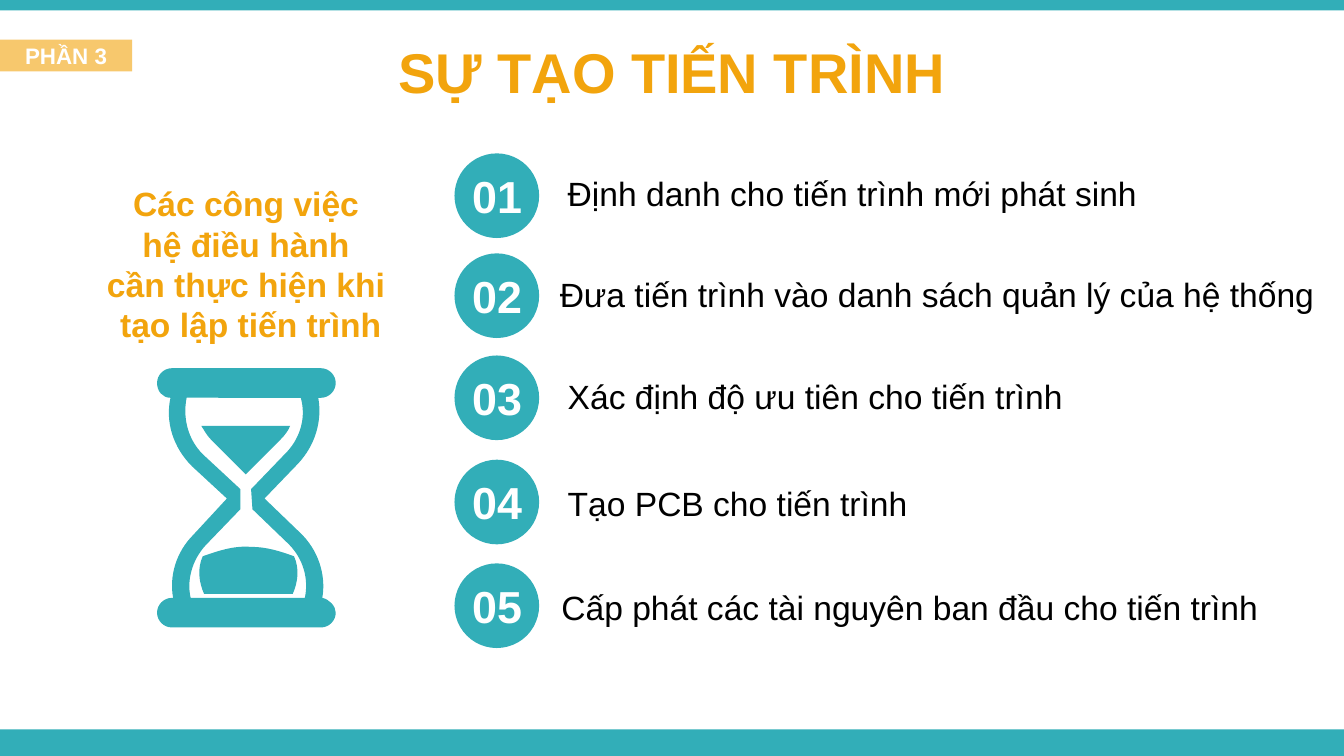
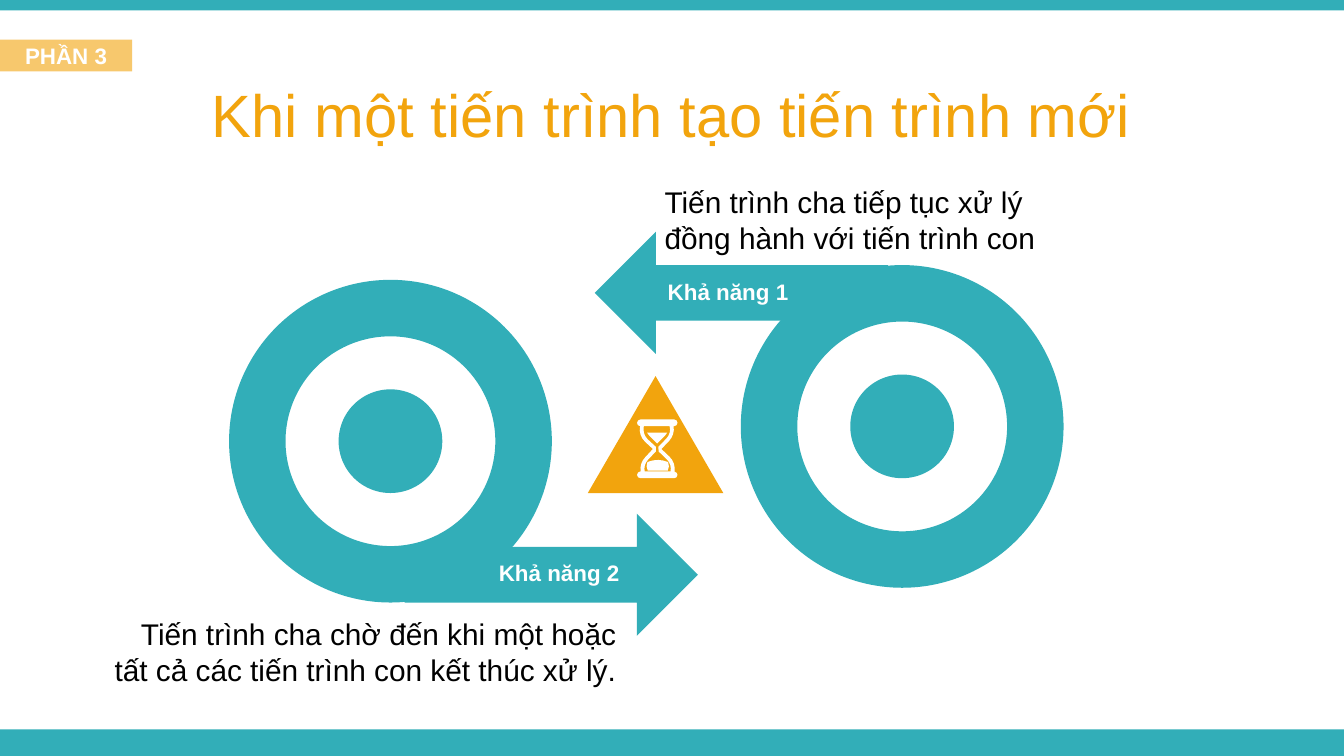
"""Build two slides on how an operating system creates processes."""
import math
from dataclasses import dataclass

import lxml.etree
import pptx
import pptx.dml.color
import pptx.enum.shapes
import pptx.enum.text
import pptx.oxml.ns
import pptx.shapes.autoshape
import pptx.slide
import pptx.util

Cm = pptx.util.Cm
qn = pptx.oxml.ns.qn
Shape = pptx.shapes.autoshape.Shape
Slide = pptx.slide.Slide
SHAPE = pptx.enum.shapes.MSO_SHAPE
ALIGN = pptx.enum.text.PP_ALIGN
ANCHOR = pptx.enum.text.MSO_ANCHOR
AUTO_SIZE = pptx.enum.text.MSO_AUTO_SIZE

TEAL, ORANGE, WHITE, BLACK = "32AEB8", "F2A40D", "FFFFFF", "000000"
WIDTH, HEIGHT = 25.4, 14.29
RING, CORE = 6.1, 1.96
ARROW_WIDTH, ARROW_HEIGHT = 5.54, 2.31
ARROW_DX, ARROW_DY = 3.32, 4.42

HOURGLASS_WIDTH, HOURGLASS_HEIGHT, HOURGLASS_TURN = 133, 193, 313.4
HOURGLASS = (
    ((70, 133), (81, 133, 91, 136, 102, 140), (106, 149, 105, 159, 101, 168),
     (35, 168), (31, 159, 30, 149, 34, 140), (48, 135, 59, 132, 70, 133)),
    ((33, 43), (99, 43), (98, 46, 95, 50, 92, 53), (66, 79), (40, 53),
     (37, 50, 35, 46, 33, 43)),
    ((22, 22), (19, 37, 23, 53, 34, 64), (62, 90), (62, 105), (36, 132),
     (26, 143, 22, 158, 25, 171), (110, 171), (113, 157, 109, 142, 98, 131),
     (71, 105), (70, 90), (97, 62), (107, 51, 111, 36, 107, 22)),
    ((11, 0), (122, 0), (128, 0, 133, 5, 133, 11), (133, 17, 128, 22, 122, 22),
     (120, 22), (123, 39, 118, 57, 105, 71), (80, 97), (106, 122),
     (120, 135, 126, 154, 123, 171), (128, 172, 133, 177, 133, 182),
     (133, 188, 128, 193, 122, 193), (11, 193), (5, 193, 0, 188, 0, 182),
     (0, 176, 5, 171, 11, 171), (12, 171), (9, 155, 14, 137, 27, 124),
     (52, 97), (26, 73), (12, 59, 6, 40, 10, 22), (4, 22, 0, 17, 0, 11),
     (0, 5, 5, 0, 11, 0)),
)


@dataclass(frozen=True)
class Box:
    """Place and size in centimetres."""
    left: float
    top: float
    width: float
    height: float

    def lengths(self) -> tuple:
        """Return the four values as lengths."""
        return Cm(self.left), Cm(self.top), Cm(self.width), Cm(self.height)


@dataclass(frozen=True)
class TextStyle:
    """Look of a block of text."""
    size: int
    color: str = BLACK
    bold: bool = False
    align: ALIGN = ALIGN.LEFT
    anchor: ANCHOR = ANCHOR.TOP


@dataclass(frozen=True)
class Step:
    """One numbered job of the operating system."""
    text: str
    top: float
    text_top: float
    left: float = 10.48
    width: float = 11.43


@dataclass(frozen=True)
class Possibility:
    """One ring with its arrow, label and explanation."""
    left: float
    top: float
    rotation: int
    label: str
    label_box: Box
    lines: tuple
    lines_box: Box
    align: ALIGN


STEPS = (
    Step("Định danh cho tiến trình mới phát sinh", 2.9, 3.15, width=13.41),
    Step("Đưa tiến trình vào danh sách quản lý của hệ thống", 4.79, 5.05, 10.33, 15.06),
    Step("Xác định độ ưu tiên cho tiến trình", 6.72, 6.98),
    Step("Tạo PCB cho tiến trình", 8.69, 9.01),
    Step("Cấp phát các tài nguyên ban đầu cho tiến trình", 10.65, 10.97, 10.36, 14.73),
)
POSSIBILITIES = (
    Possibility(4.33, 5.29, 0, "Khả năng 2", Box(5.43, 10.44, 6.53, 0.76),
                ("Tiến trình cha chờ đến khi một hoặc",
                 "tất cả các tiến trình con kết thúc xử lý."),
                Box(-1.63, 11.52, 13.53, 1.63), ALIGN.RIGHT),
    Possibility(14, 5.01, 180, "Khả năng 1", Box(12.37, 5.14, 6.53, 0.76),
                ("Tiến trình cha tiếp tục xử lý", "đồng hành với tiến trình con"),
                Box(12.31, 3.35, 12.78, 1.63), ALIGN.LEFT),
)


def rgb(color: str) -> pptx.dml.color.RGBColor:
    """Turn a hex string into a colour."""
    return pptx.dml.color.RGBColor.from_string(color)


def paint(shape: Shape, color: str) -> Shape:
    """Fill a shape flatly, without outline or shadow."""
    shape.shadow.inherit = False
    shape.fill.solid()
    shape.fill.fore_color.rgb = rgb(color)
    shape.line.fill.background()
    return shape


def add_figure(slide: Slide, kind: SHAPE, box: Box, color: str,
               rotation: int = 0, adjustments: tuple = ()) -> Shape:
    """Draw a preset shape."""
    figure = paint(slide.shapes.add_shape(kind, *box.lengths()), color)
    figure.rotation = rotation
    for index, value in enumerate(adjustments):
        figure.adjustments[index] = value
    return figure


def write(shape: Shape, lines: tuple, style: TextStyle) -> None:
    """Write one paragraph per line into a shape."""
    frame = shape.text_frame
    frame.word_wrap = True
    frame.vertical_anchor = style.anchor
    frame.text = "\n".join(lines)
    font_values = {"name": "Arial", "size": pptx.util.Pt(style.size), "bold": style.bold}
    for paragraph in frame.paragraphs:
        paragraph.alignment = style.align
        for run in paragraph.runs:
            for attribute, value in font_values.items():
                setattr(run.font, attribute, value)
            run.font.color.rgb = rgb(style.color)


def add_text(slide: Slide, box: Box, lines: tuple, style: TextStyle) -> None:
    """Add a text box that fits its text."""
    text_box = slide.shapes.add_textbox(*box.lengths())
    write(text_box, lines, style)
    text_box.text_frame.auto_size = AUTO_SIZE.SHAPE_TO_FIT_TEXT


def bend_curves(outline: Shape, contours: tuple) -> None:
    """Turn each three lines that stand for a curve into that curve."""
    route = outline.element.find(".//" + qn("a:path"))
    lines = iter(route.findall(qn("a:lnTo")))
    for contour in contours:
        for segment in contour[1:]:
            ends = [next(lines) for _ in range(len(segment) // 2)]
            if len(ends) == 3:
                curve = lxml.etree.Element(qn("a:cubicBezTo"))
                route.replace(ends[0], curve)
                for end in ends:
                    curve.append(end[0])
                for end in ends[1:]:
                    route.remove(end)


def add_hourglass(slide: Slide, left: float, top: float, height: float, color: str) -> None:
    """Draw the upright hourglass in a turned frame."""
    unit = height / HOURGLASS_HEIGHT
    middle_x, middle_y = HOURGLASS_WIDTH / 2, HOURGLASS_HEIGHT / 2
    turn = math.radians(-HOURGLASS_TURN)

    def place(x: float, y: float) -> tuple:
        """Turn a grid point back and put it on the slide."""
        dx, dy = x - middle_x, y - middle_y
        turned_x = middle_x + dx * math.cos(turn) - dy * math.sin(turn)
        turned_y = middle_y + dx * math.sin(turn) + dy * math.cos(turn)
        return Cm(left + turned_x * unit), Cm(top + turned_y * unit)

    builder = slide.shapes.build_freeform(*place(*HOURGLASS[0][0]))
    for index, contour in enumerate(HOURGLASS):
        if index:
            builder.move_to(*place(*contour[0]))
        builder.add_line_segments([place(*segment[i:i + 2]) for segment in contour[1:]
                                   for i in range(0, len(segment), 2)])
    outline = paint(builder.convert_to_shape(), color)
    bend_curves(outline, HOURGLASS)
    outline.rotation = HOURGLASS_TURN


def add_section_slide(presentation: pptx.presentation.Presentation, title: str,
                      title_top: float, size: int, bold: bool) -> Slide:
    """Add a slide with bands, section tag and title."""
    slide = presentation.slides.add_slide(presentation.slide_layouts[6])
    for band in (Box(0, 13.79, WIDTH, 0.5), Box(0, 0, WIDTH, 0.2)):
        add_figure(slide, SHAPE.RECTANGLE, band, TEAL)
    tag = add_figure(slide, SHAPE.RECTANGLE, Box(0, 0.75, 2.5, 0.6), ORANGE)
    tag_color = tag.element.find(".//" + qn("a:srgbClr"))
    lxml.etree.SubElement(tag_color, qn("a:alpha")).set("val", "60000")
    write(tag, ("PHẦN 3",), TextStyle(12, WHITE, True, ALIGN.CENTER, ANCHOR.MIDDLE))
    heading = slide.shapes.add_textbox(*Box(0, title_top, WIDTH, 1.6).lengths())
    write(heading, (title,), TextStyle(size, ORANGE, bold, ALIGN.CENTER, ANCHOR.MIDDLE))
    return slide


def build_steps(presentation: pptx.presentation.Presentation) -> None:
    """Build the slide listing the jobs of process creation."""
    slide = add_section_slide(presentation, "SỰ TẠO TIẾN TRÌNH", 0.54, 30, True)
    for number, step in enumerate(STEPS, 1):
        add_figure(slide, SHAPE.OVAL, Box(8.59, step.top, 1.6, 1.6), TEAL)
        add_text(slide, Box(8.51, step.top + 0.16, 1.78, 1.27), (f"{number:02}",),
                 TextStyle(24, WHITE, True, ALIGN.CENTER))
        add_text(slide, Box(step.left, step.text_top, step.width, 1.02),
                 (step.text,), TextStyle(18))
    add_text(slide, Box(0.89, 3.34, 7.7, 3.33),
             ("Các công việc ", "hệ điều hành ", "cần thực hiện khi ", "tạo lập tiến trình"),
             TextStyle(18, ORANGE, True, ALIGN.CENTER))
    add_hourglass(slide, 2.97, 6.96, 4.9, TEAL)


def add_possibility(slide: Slide, item: Possibility) -> None:
    """Draw a ring whose arrow leaves it, turned as a whole."""
    arrow_dx, arrow_dy = ARROW_DX, ARROW_DY
    if item.rotation:
        arrow_dx, arrow_dy = RING - ARROW_DX - ARROW_WIDTH, RING - ARROW_DY - ARROW_HEIGHT
    inset = (RING - CORE) / 2
    add_figure(slide, SHAPE.DONUT, Box(item.left, item.top, RING, RING), TEAL,
               item.rotation, (0.175,))
    add_figure(slide, SHAPE.RIGHT_ARROW,
               Box(item.left + arrow_dx, item.top + arrow_dy, ARROW_WIDTH, ARROW_HEIGHT),
               TEAL, item.rotation, (0.455, 0.5))
    add_figure(slide, SHAPE.OVAL, Box(item.left + inset, item.top + inset, CORE, CORE), TEAL)
    add_text(slide, item.lines_box, item.lines, TextStyle(16, align=item.align))
    add_text(slide, item.label_box, (item.label,), TextStyle(12, WHITE, True, item.align))


def build_possibilities(presentation: pptx.presentation.Presentation) -> None:
    """Build the slide on what a parent process may do."""
    slide = add_section_slide(presentation, "Khi một tiến trình tạo tiến trình mới",
                              1.35, 32, False)
    for item in POSSIBILITIES:
        add_possibility(slide, item)
    add_figure(slide, SHAPE.ISOSCELES_TRIANGLE, Box(11.11, 7.11, 2.56, 2.21), ORANGE)
    add_hourglass(slide, 12.04, 7.93, 1.11, WHITE)


def main() -> None:
    """Build and save the presentation."""
    presentation = pptx.Presentation()
    presentation.slide_width, presentation.slide_height = Cm(WIDTH), Cm(HEIGHT)
    build_steps(presentation)
    build_possibilities(presentation)
    presentation.save("out.pptx")


if __name__ == "__main__":
    main()
